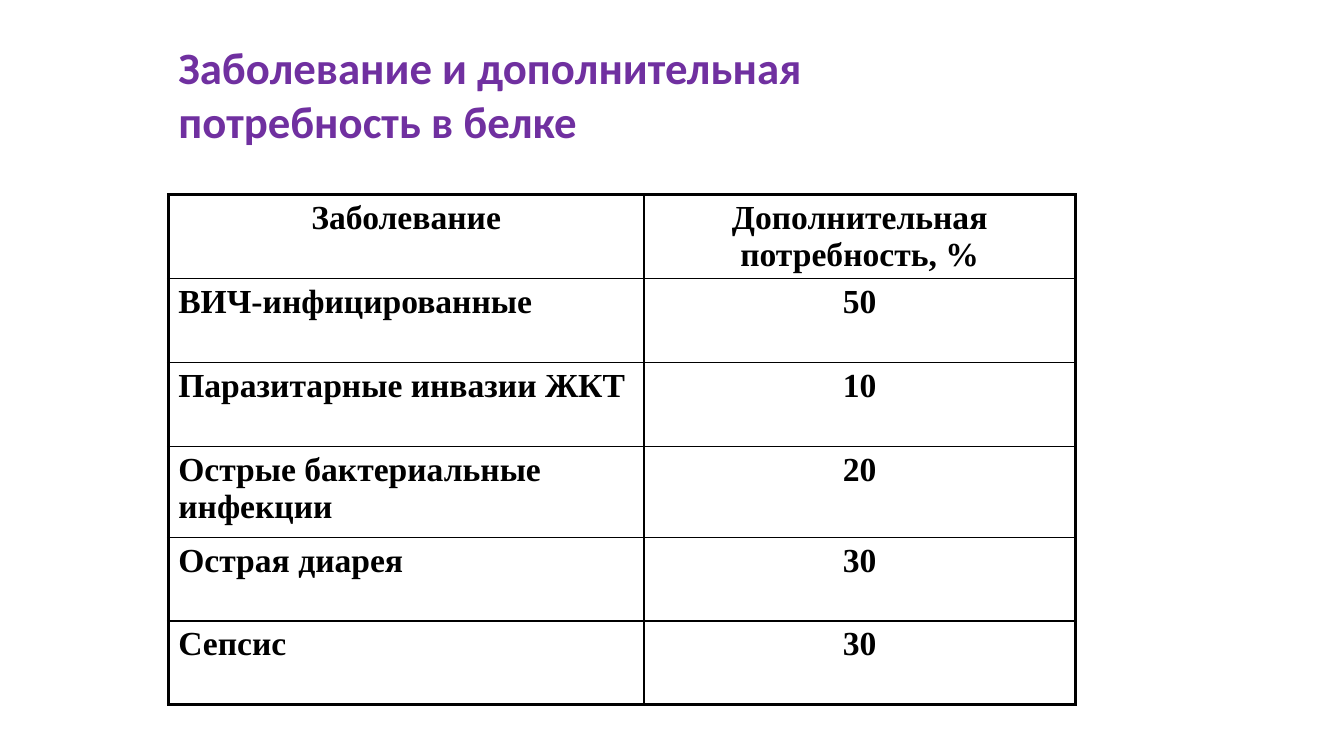
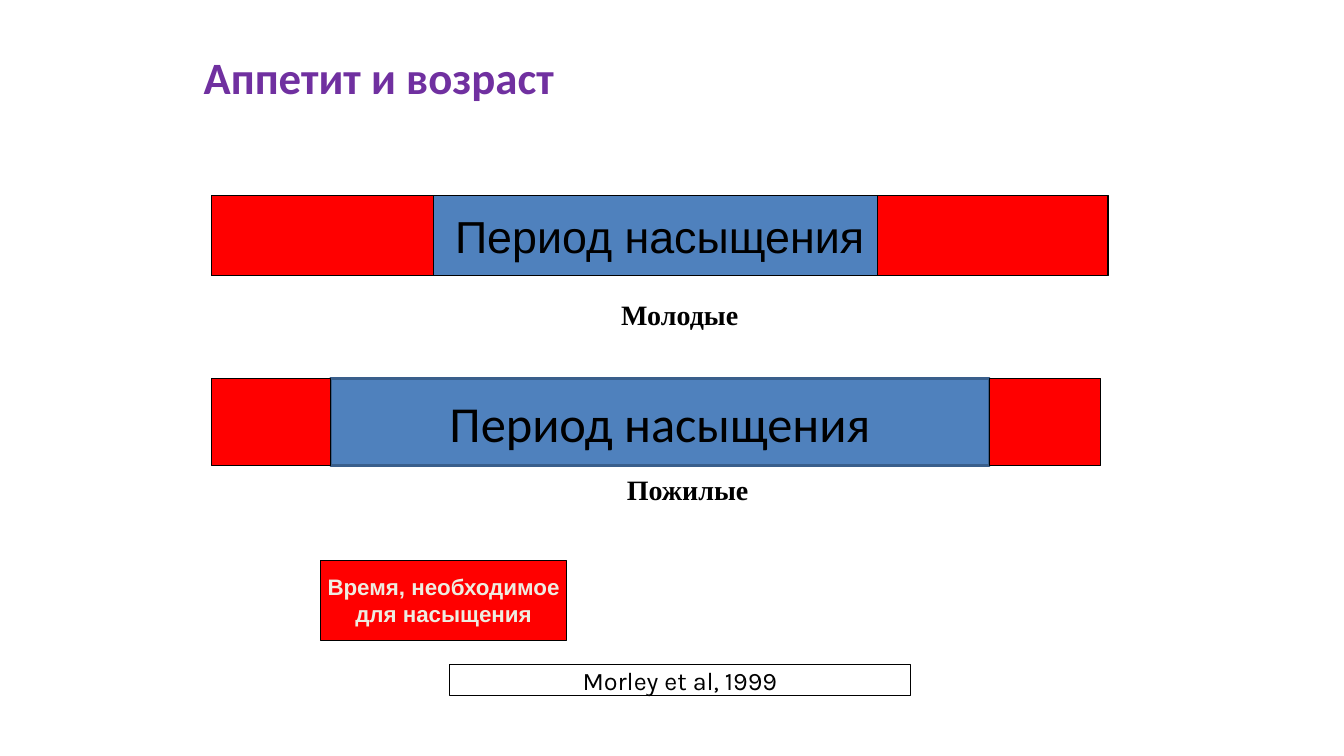
from dataclasses import dataclass

from lxml import etree
from pptx import Presentation
from pptx import util as u
from pptx.dml.color import RGBColor
from pptx.enum import shapes, text
from pptx.oxml import ns


@dataclass(frozen=True)
class Theme:
    title: str = "7030A0"
    ink: str = "000000"
    pale: str = "EEECE1"
    red: str = "FF0000"
    blue: str = "4F81BD"
    blue_edge: str = "3A5F8C"
    thin: float = 0.75
    inner: float = 1
    outer: float = 2.25
    # Fonts: name, size, bold
    title_font: tuple = ("Calibri", 32, True)
    table_font: tuple = ("Times New Roman", 24, True)
    caption_font: tuple = ("Times New Roman", 20, True)
    young_font: tuple = ("Arial", 32, False)
    elderly_font: tuple = ("Calibri", 36, False)
    legend_font: tuple = ("Arial", 16, True)
    source_font: tuple = ("Karla", 18, False)


THEME = Theme()
LEFT, CENTER = text.PP_ALIGN.LEFT, text.PP_ALIGN.CENTER

# Places are left, top, width, height in centimetres.
NEEDS_TITLE = "Заболевание и дополнительная\vпотребность в белке"
NEEDS = [
    ("Заболевание", "Дополнительная потребность, %"),
    ("ВИЧ-инфицированные", "50"),
    ("Паразитарные инвазии ЖКТ", "10"),
    ("Острые бактериальные инфекции", "20"),
    ("Острая диарея", "30"),
    ("Сепсис", "30"),
]
TABLE_LEFT, TABLE_TOP = 4.24, 4.9
COLUMN_WIDTHS = (11.99, 10.87)
ROW_HEIGHTS = (2.11, 2.11, 2.11, 2.29, 2.11, 2.11)

APPETITE_TITLE = "Аппетит и возраст"
SATIETY = "Период насыщения"
SATIETY_BARS = [
    ((5.33, 4.93, 22.6, 2.01), THEME.young_font, THEME.ink, THEME.thin),
    ((8.33, 9.53, 16.61, 2.21), THEME.elderly_font, THEME.blue_edge, 2),
]
EATING_BARS = [
    (5.33, 4.93, 5.59, 2.01),
    (22.12, 4.93, 5.8, 2.01),
    (5.33, 9.53, 3, 2.21),
    (24.94, 9.53, 2.8, 2.21),
]
CAPTIONS = [
    ("Молодые", (11.13, 7.32, 12, 1.19)),
    ("Пожилые", (11.33, 11.73, 12, 1.19)),
]
LEGEND = ("Время, необходимое\nдля насыщения", (8.08, 14.12, 6.2, 2.01))
SOURCE = ("Morley et al, 1999", (11.33, 16.74, 11.61, 0.79))


def cm(place):
    return [u.Cm(length) for length in place]


def write(frame, words, font, color, align=CENTER):
    frame.text = words
    name, size, bold = font
    for para in frame.paragraphs:
        para.alignment = align
        para.font.name, para.font.size, para.font.bold = name, u.Pt(size), bold
        para.font.color.rgb = RGBColor.from_string(color)


def add_titled_slide(deck, title, left, top):
    slide = deck.slides.add_slide(deck.slide_layouts[5])
    box = slide.shapes.title
    box.left, box.top, box.width, box.height = cm((left, top, 24.13, 3.18))
    box.text_frame.vertical_anchor = text.MSO_ANCHOR.MIDDLE
    write(box.text_frame, title, THEME.title_font, THEME.title, LEFT)
    return slide


def center_text(box, words, font, color):
    frame = box.text_frame
    frame.word_wrap = False
    frame.vertical_anchor = text.MSO_ANCHOR.MIDDLE
    write(frame, words, font, color)


def add_bar(slide, place, fill=None, edge=THEME.ink, weight=THEME.thin):
    bar = slide.shapes.add_shape(shapes.MSO_SHAPE.RECTANGLE, *cm(place))
    bar.shadow.inherit = False
    if fill:
        bar.fill.solid()
        bar.fill.fore_color.rgb = RGBColor.from_string(fill)
    else:
        bar.fill.background()
    bar.line.color.rgb = RGBColor.from_string(edge)
    bar.line.width = u.Pt(weight)
    return bar


def set_borders(cell, weights):
    """Draw the left, right, top and bottom borders, in points."""
    props = cell._tc.get_or_add_tcPr()
    for side, weight in zip("LRTB", weights):
        line = etree.SubElement(props, ns.qn(f"a:ln{side}"), w=str(u.Pt(weight)))
        fill = etree.SubElement(line, ns.qn("a:solidFill"))
        etree.SubElement(fill, ns.qn("a:srgbClr"), val=THEME.ink)


def add_needs_slide(deck):
    slide = add_titled_slide(deck, NEEDS_TITLE, TABLE_LEFT, 0.76)
    place = (TABLE_LEFT, TABLE_TOP, sum(COLUMN_WIDTHS), sum(ROW_HEIGHTS))
    rows, columns = len(NEEDS), len(COLUMN_WIDTHS)
    table = slide.shapes.add_table(rows, columns, *cm(place)).table
    table.first_row = table.horz_banding = False
    for column, width in zip(table.columns, COLUMN_WIDTHS):
        column.width = u.Cm(width)
    for row, height in zip(table.rows, ROW_HEIGHTS):
        row.height = u.Cm(height)
    for r, values in enumerate(NEEDS):
        for c, value in enumerate(values):
            cell = table.cell(r, c)
            align = LEFT if r and c == 0 else CENTER
            write(cell.text_frame, value, THEME.table_font, THEME.ink, align)
            on_edge = (c == 0, c == columns - 1, r == 0, r == rows - 1)
            set_borders(cell, [THEME.outer if e else THEME.inner for e in on_edge])
            cell.fill.background()


def add_appetite_slide(deck):
    slide = add_titled_slide(deck, APPETITE_TITLE, 4.88, 0.33)
    for place, font, edge, weight in SATIETY_BARS:
        bar = add_bar(slide, place, THEME.blue, edge, weight)
        center_text(bar, SATIETY, font, THEME.ink)
    for place in EATING_BARS:
        add_bar(slide, place, THEME.red)
    for words, place in CAPTIONS:
        box = slide.shapes.add_textbox(*cm(place))
        center_text(box, words, THEME.caption_font, THEME.ink)
    words, place = LEGEND
    center_text(add_bar(slide, place, THEME.red), words, THEME.legend_font, THEME.pale)
    words, place = SOURCE
    center_text(add_bar(slide, place), words, THEME.source_font, THEME.ink)


def main():
    deck = Presentation()
    deck.slide_width, deck.slide_height = u.Cm(33.87), u.Cm(19.05)
    add_needs_slide(deck)
    add_appetite_slide(deck)
    deck.save("out.pptx")


if __name__ == "__main__":
    main()
